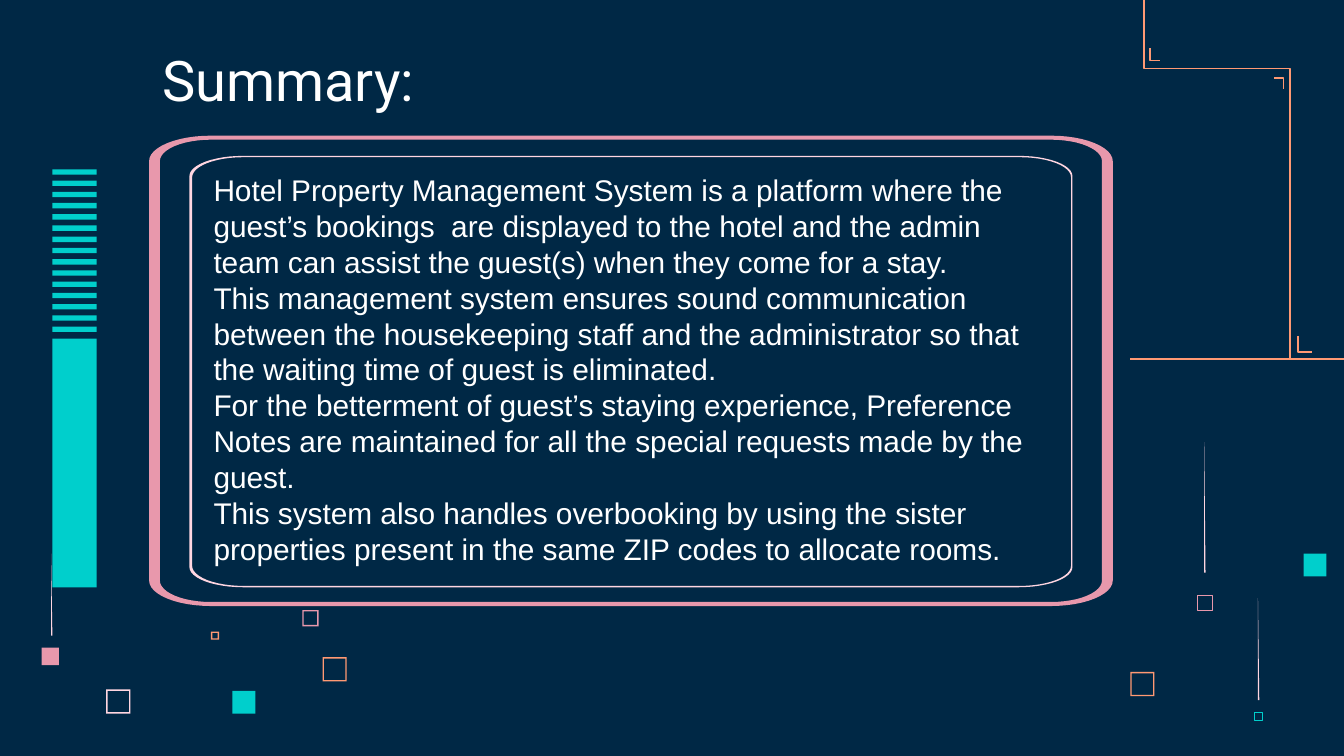
"""Build the summary slide of a hotel property management deck."""
from math import cos, pi, sin

from pptx import Presentation
from pptx.dml.color import RGBColor
from pptx.enum.shapes import MSO_CONNECTOR, MSO_SHAPE
from pptx.enum.text import MSO_ANCHOR
from pptx.oxml import parse_xml
from pptx.util import Inches, Pt

RECTANGLE, FRAME = MSO_SHAPE.RECTANGLE, MSO_SHAPE.FRAME
STRAIGHT = MSO_CONNECTOR.STRAIGHT
TOP, BOTTOM = MSO_ANCHOR.TOP, MSO_ANCHOR.BOTTOM
NAVY, WHITE, BLUSH = "002845", "FFFFFF", "FFD6E1"
PINK, ORANGE, TEAL = "E898AC", "FF9973", "00CFCC"
EMPTY_EFFECTS = '<a:effectLst xmlns:a="http://schemas.openxmlformats.org/drawingml/2006/main"/>'


def color(hex_value):
    return RGBColor.from_string(hex_value)


def paint(shape, fill=None, line=None, width=0.75):
    shape.shadow.inherit = False
    for part, value in ((shape.fill, fill), (shape.line.fill, line)):
        if value:
            part.solid()
            part.fore_color.rgb = color(value)
        else:
            part.background()
    if line:
        shape.line.width = Pt(width)


deck = Presentation()
deck.slide_width, deck.slide_height = Inches(10), Inches(10 * 9 / 16)
page = deck.slides.add_slide(deck.slide_layouts[6])
page.background.fill.solid()
page.background.fill.fore_color.rgb = color(NAVY)
shapes = page.shapes

hollow_squares = [
    (0.79, 5.13, 0.18, BLUSH), (2.25, 4.54, 0.12, PINK), (1.57, 4.7, 0.06, ORANGE),
    (2.4, 4.89, 0.18, ORANGE), (8.41, 5, 0.18, ORANGE),
]
for left, top, size, shade in hollow_squares:
    square = shapes.add_shape(FRAME, Inches(left), Inches(top), Inches(size), Inches(size))
    square.adjustments[0] = 0.01 / size
    paint(square, fill=shade)

for left, top, size, shade in [(8.91, 4.43, 0.11, PINK), (9.33, 5.3, 0.06, TEAL)]:
    square = shapes.add_shape(RECTANGLE, Inches(left), Inches(top), Inches(size), Inches(size))
    paint(square, line=shade, width=0.23)

for left, top, bottom in [(8.96, 3.29, 4.26), (0.38, 4.12, 4.73), (9.36, 4.45, 5.21)]:
    builder = shapes.build_freeform(Inches(left), Inches(top), scale=1.0)
    builder.add_line_segments(
        [(Inches(left), Inches(bottom)), (Inches(left + 0.01), Inches(bottom))])
    paint(builder.convert_to_shape(), fill=BLUSH)

blocks = [
    (1.73, 5.14, 0.17, 0.17, TEAL), (0.31, 4.82, 0.13, 0.13, PINK),
    (9.7, 4.12, 0.17, 0.17, TEAL), (0.39, 2.52, 0.33, 1.85, TEAL),
]
blocks += [(0.39, 1.26 + index * 1.17 / 14, 0.33, 0.04, TEAL) for index in range(15)]
for left, top, width, height, shade in blocks:
    block = shapes.add_shape(
        RECTANGLE, Inches(left), Inches(top), Inches(width), Inches(height))
    paint(block, fill=shade)

summary = [
    "Hotel Property Management System is a platform where the guest’s bookings  are displayed "
    "to the hotel and the admin team can assist the guest(s) when they come for a stay.",
    "This management system ensures sound communication between the housekeeping staff and the "
    "administrator so that the waiting time of guest is eliminated.",
    "For the betterment of guest’s staying experience, Preference Notes are maintained for all "
    "the special requests made by the guest.",
    "This system also handles overbooking by using the sister properties present in the same "
    "ZIP codes to allocate rooms.",
]
texts = [
    ((1.49, 1.18, 6.42, 2.29), TOP, summary, {"name": "Arial", "size": Pt(16)}),
    ((1.11, 0.31, 2.94, 0.63), BOTTOM, ["Summary:"], {"name": "Roboto", "size": Pt(30)}),
]
for place, anchor, lines, font_format in texts:
    box = shapes.add_textbox(*map(Inches, place))
    frame = box.text_frame
    frame_format = {"word_wrap": True, "vertical_anchor": anchor}
    frame_format.update(dict.fromkeys(
        ("margin_left", "margin_top", "margin_right", "margin_bottom"), Inches(0.1)))
    for name, value in frame_format.items():
        setattr(frame, name, value)
    for index, line in enumerate(lines):
        para = frame.add_paragraph() if index else frame.paragraphs[0]
        para.line_spacing = 1.0
        span = para.add_run()
        span.text = line
        span.font.color.rgb = color(WHITE)
        for name, value in font_format.items():
            setattr(span.font, name, value)

panel_borders = [
    (PINK, [(1.11, 1.01, 8.28, 4.51, 0.46, 0.19), (1.19, 1.04, 8.2, 4.48, 0.38, 0.16)]),
    (BLUSH, [(1.41, 1.16, 7.98, 4.37, 0.4, 0.15), (1.43, 1.17, 7.97, 4.36, 0.38, 0.15)]),
]
for shade, outlines in panel_borders:
    builder = None
    for left, top, right, bottom, radius_x, radius_y in outlines:
        centers = [
            (right - radius_x, bottom - radius_y), (left + radius_x, bottom - radius_y),
            (left + radius_x, top + radius_y), (right - radius_x, top + radius_y),
        ]
        points = []
        for corner, (center_x, center_y) in enumerate(centers):
            for step in range(13):
                angle = (corner + step / 12) * pi / 2
                points.append((Inches(center_x + radius_x * cos(angle)),
                               Inches(center_y + radius_y * sin(angle))))
        if builder is None:
            builder = shapes.build_freeform(*points[0], scale=1.0)
        else:
            builder.move_to(*points[0])
        builder.add_line_segments(points[1:])
    paint(builder.convert_to_shape(), fill=shade)

circuit_paths = [
    [(8.51, -0.52), (8.51, 0.51), (9.6, 0.51), (9.6, 2.67)],
    [(9.66, 2.5), (9.66, 2.62), (9.76, 2.62)],
    [(9.48, 0.58), (9.55, 0.58), (9.55, 0.66)],
    [(8.56, 0.36), (8.56, 0.45), (8.63, 0.45)],
]
for path_points in circuit_paths:
    points = [(Inches(x), Inches(y)) for x, y in path_points]
    builder = shapes.build_freeform(*points[0], scale=1.0)
    builder.add_line_segments(points[1:], close=False)
    paint(builder.convert_to_shape(), line=ORANGE, width=1)

baseline = shapes.add_connector(
    STRAIGHT, Inches(8.41), Inches(2.67), Inches(10.91), Inches(2.67))
baseline.line.color.rgb = color(ORANGE)
baseline.line.width = Pt(1)
baseline._element.spPr.append(parse_xml(EMPTY_EFFECTS))

deck.save("out.pptx")
